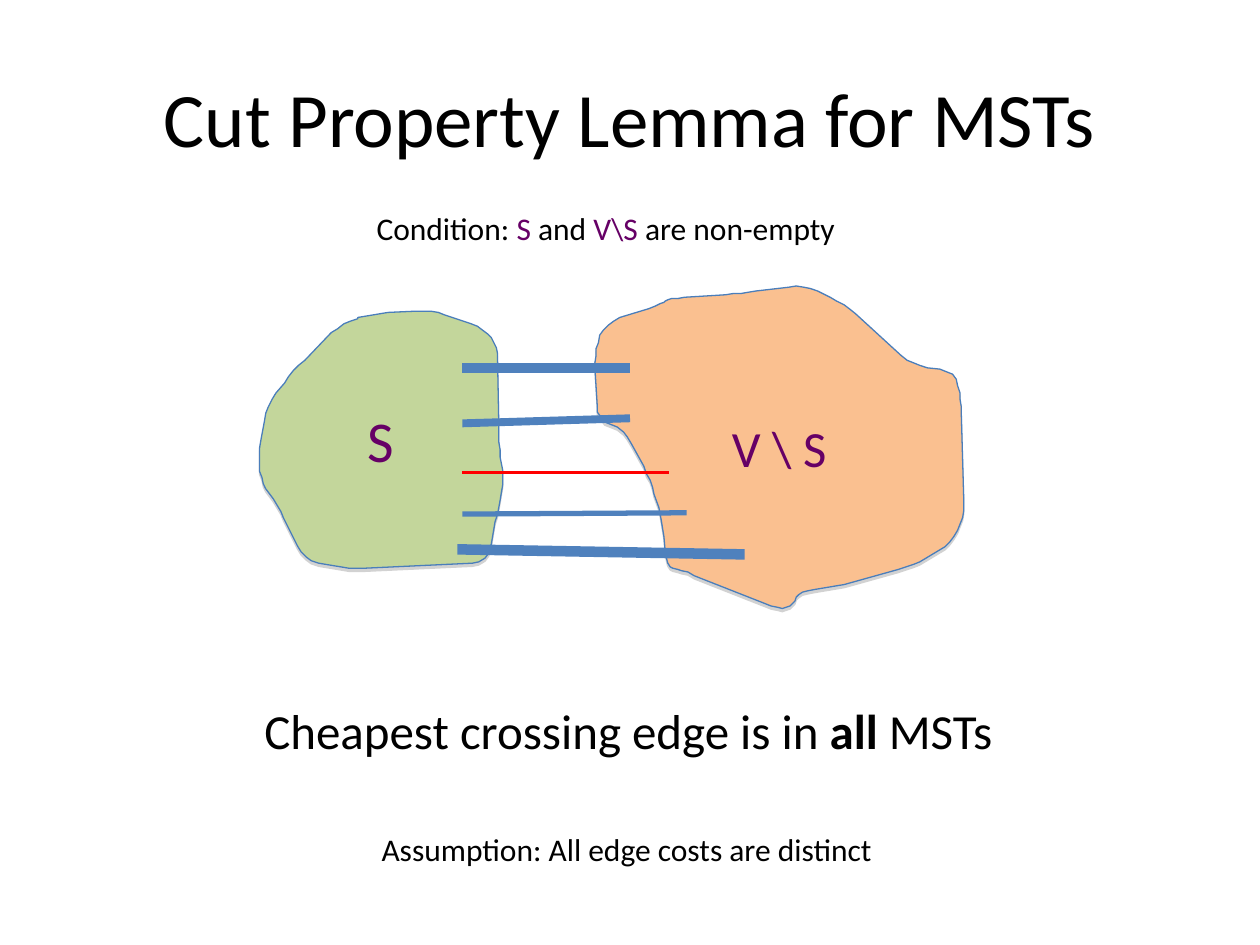
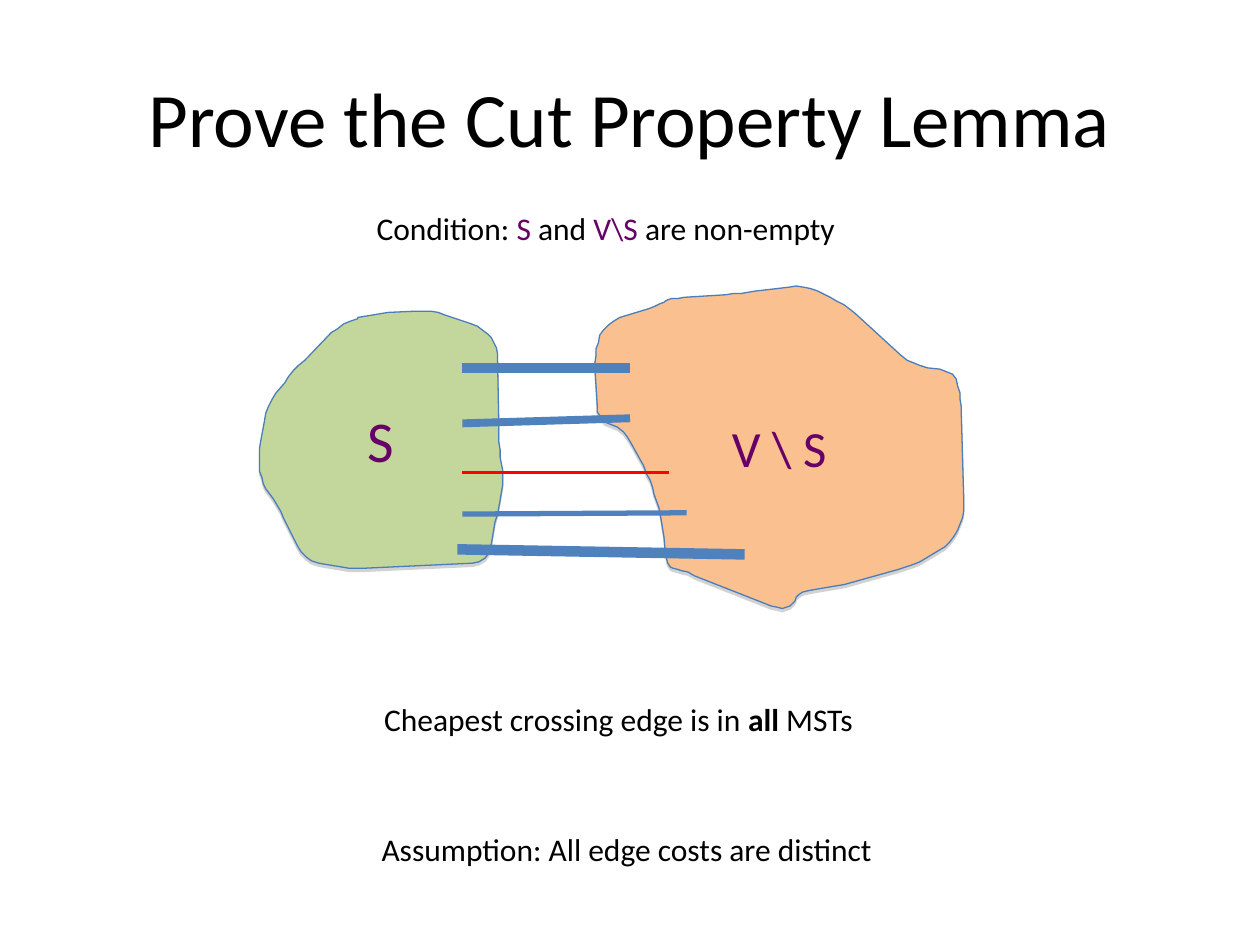
from math import dist
from typing import NamedTuple
from lxml.etree import SubElement
from pptx import Presentation
from pptx.dml.color import RGBColor
from pptx.enum.shapes import MSO_CONNECTOR as CONN
from pptx.enum.text import MSO_ANCHOR as ANCHOR, MSO_AUTO_SIZE as FIT, PP_ALIGN as ALIGN
from pptx.oxml.ns import qn
from pptx.util import Emu, Pt

PX = 9144
SLIDE_W, SLIDE_H = 1000, 750
MARGIN = 50
CORNER_RADIUS = 12
CURVE_STEPS = 4

FONT = "Calibri"
TITLE_SIZE, NOTE_SIZE, HEADLINE_SIZE = 44, 18, 28
BLACK = "000000"
PURPLE = "660066"
GREEN = "C3D69B"
ORANGE = "FAC090"
OUTLINE = "4A7EBB"
BLUE = "4F81BD"
RED = "FF0000"
GREY = "808080"


class VertexSet(NamedTuple):
    label: str
    size: int
    fill: str
    corners: list


class Edge(NamedTuple):
    start: tuple
    end: tuple
    cost: float


class Statement(NamedTuple):
    x: int
    y: int
    w: int
    size: int
    runs: list


VERTEX_SETS = [
    VertexSet("S", 33, GREEN, [
        (342, 246), (385, 261), (395, 275), (396, 351),
        (400, 385), (392, 420), (387, 446), (277, 452),
        (241, 444), (220, 400), (208, 385), (205, 362),
        (212, 322), (233, 294), (272, 256), (296, 249),
    ]),
    VertexSet("V \\ S", 29, ORANGE, [
        (531, 237), (588, 233), (638, 226), (670, 241), (724, 290), (758, 295),
        (763, 317), (765, 411), (755, 431), (725, 449), (658, 467), (635, 469),
        (630, 480), (618, 484), (540, 452), (529, 450), (526, 414), (516, 381),
        (496, 341), (474, 333), (472, 277), (481, 256), (526, 241),
    ]),
]
CROSSING_EDGES = [
    Edge((367, 292), (500, 292), 6),
    Edge((367, 336), (500, 332), 4.5),
    Edge((367, 408), (545, 407), 3),
    Edge((367, 375), (531, 375), 2),
    Edge((363, 436), (591, 440), 6),
]

CONDITION = Statement(289, 161, 384, NOTE_SIZE, [
    ("Condition: ",), ("S", PURPLE), (" and ",), ("V\\S", PURPLE), (" are non-empty",)])
ASSUMPTION = Statement(293, 654, 410, NOTE_SIZE, [("Assumption: All edge costs are distinct",)])
CLAIM_RUNS = [("Cheapest crossing edge is in ",), ("all", BLACK, True), (" MSTs",)]
CLAIM_BY_TITLE = {
    "Cut Property Lemma for MSTs": Statement(200, 551, 602, HEADLINE_SIZE, CLAIM_RUNS),
    "Prove the Cut Property Lemma": Statement(295, 551, 395, NOTE_SIZE, CLAIM_RUNS),
}


def px(*lengths):
    return [Emu(n * PX) for n in lengths]


def rgb(value):
    return RGBColor.from_string(value)


def blend(a, b, t):
    return tuple(u + (v - u) * t for u, v in zip(a, b))


def step_towards(corner, neighbour):
    return blend(corner, neighbour, min(0.5, CORNER_RADIUS / dist(corner, neighbour)))


def round_corners(corners):
    points = []
    for i, corner in enumerate(corners):
        entry = step_towards(corner, corners[i - 1])
        leave = step_towards(corner, corners[(i + 1) % len(corners)])
        for step in range(CURVE_STEPS + 1):
            t = step / CURVE_STEPS
            x, y = blend(blend(entry, corner, t), blend(corner, leave, t), t)
            points.append((round(x), round(y)))
    return points


def style_line(line, color, width):
    line.color.rgb = rgb(color)
    line.width = Pt(width)


def add_run(p, size, text, color=BLACK, bold=False):
    r = p.add_run()
    r.text = text
    r.font.name = FONT
    r.font.size = Pt(size)
    r.font.bold = bold
    r.font.color.rgb = rgb(color)


def add_centred_text(tf, size, text, color=BLACK):
    tf.vertical_anchor = ANCHOR.MIDDLE
    p = tf.paragraphs[0]
    p.alignment = ALIGN.CENTER
    add_run(p, size, text, color)


def add_title(slide, text):
    tf = slide.shapes.add_textbox(*px(MARGIN, 30, SLIDE_W - 2 * MARGIN, 125)).text_frame
    tf.word_wrap = True
    add_centred_text(tf, TITLE_SIZE, text)


def add_statement(slide, statement):
    x, y, w, size, runs = statement
    height = round(size * 1.67 + 10)
    tf = slide.shapes.add_textbox(*px(x, y, w, height)).text_frame
    tf.word_wrap = False
    tf.auto_size = FIT.SHAPE_TO_FIT_TEXT
    for run in runs:
        add_run(tf.paragraphs[0], size, *run)


def add_shadow(sp):
    sp.shadow.inherit = False
    effects = sp._element.spPr.find(qn("a:effectLst"))
    shadow = SubElement(effects, qn("a:outerShdw"), blurRad="0", dist=str(Pt(1.8)),
                        dir="5400000", rotWithShape="0")
    color = SubElement(shadow, qn("a:srgbClr"), val=GREY)
    SubElement(color, qn("a:alpha"), val="35000")


def add_vertex_set(slide, vertex_set):
    first, *rest = round_corners(vertex_set.corners)
    builder = slide.shapes.build_freeform(*first, scale=PX)
    builder.add_line_segments(rest, close=True)
    sp = builder.convert_to_shape()
    sp.fill.solid()
    sp.fill.fore_color.rgb = rgb(vertex_set.fill)
    style_line(sp.line, OUTLINE, 0.75)
    add_shadow(sp)
    add_centred_text(sp.text_frame, vertex_set.size, vertex_set.label, PURPLE)


def add_edge(slide, edge, color):
    connector = slide.shapes.add_connector(CONN.STRAIGHT, *px(*edge.start, *edge.end))
    style_line(connector.line, color, edge.cost)
    SubElement(connector._element.spPr, qn("a:effectLst"))


def add_cut(slide):
    for vertex_set in VERTEX_SETS:
        add_vertex_set(slide, vertex_set)
    cheapest = min(CROSSING_EDGES, key=lambda edge: edge.cost)
    for edge in CROSSING_EDGES:
        add_edge(slide, edge, RED if edge is cheapest else BLUE)


def add_lemma_slide(prs, title, claim):
    slide = prs.slides.add_slide(prs.slide_layouts[6])
    add_title(slide, title)
    add_cut(slide)
    for statement in (claim, CONDITION, ASSUMPTION):
        add_statement(slide, statement)


def main():
    prs = Presentation()
    prs.slide_width, prs.slide_height = px(SLIDE_W, SLIDE_H)
    for title, claim in CLAIM_BY_TITLE.items():
        add_lemma_slide(prs, title, claim)
    prs.save("out.pptx")


if __name__ == "__main__":
    main()
